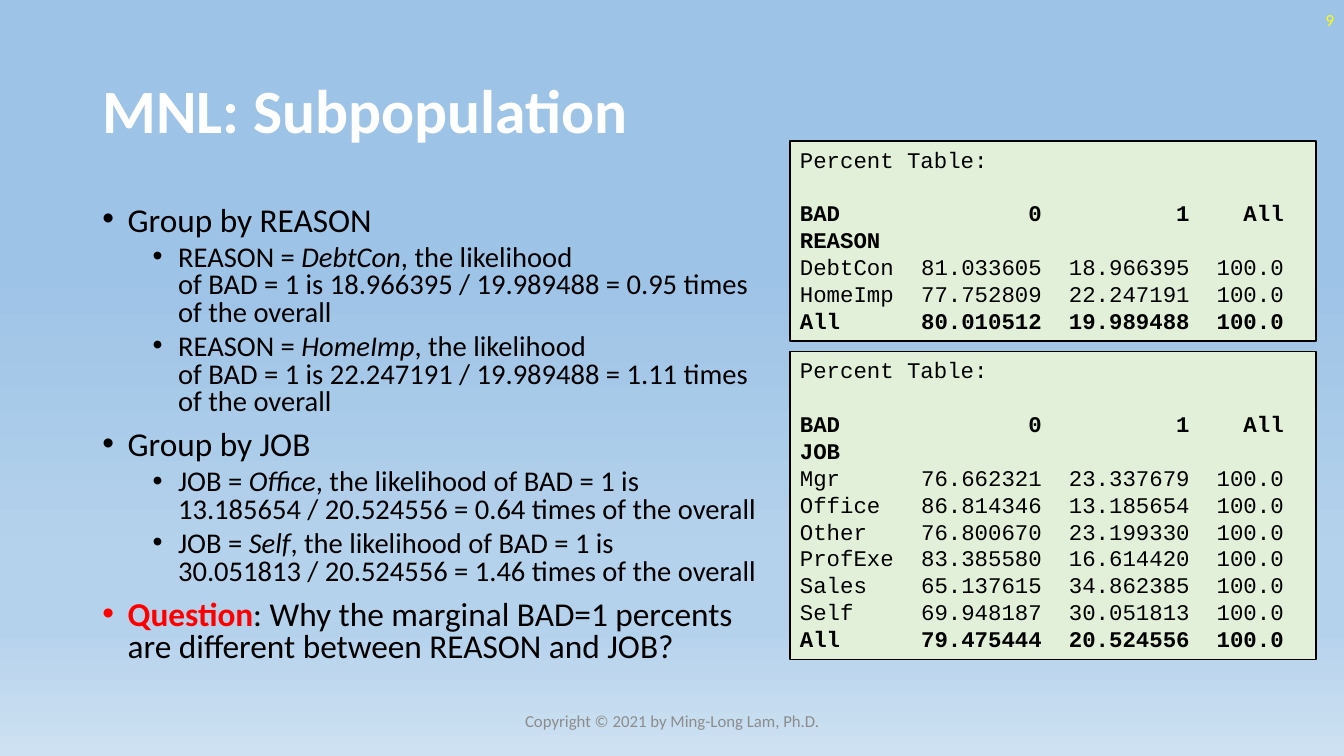
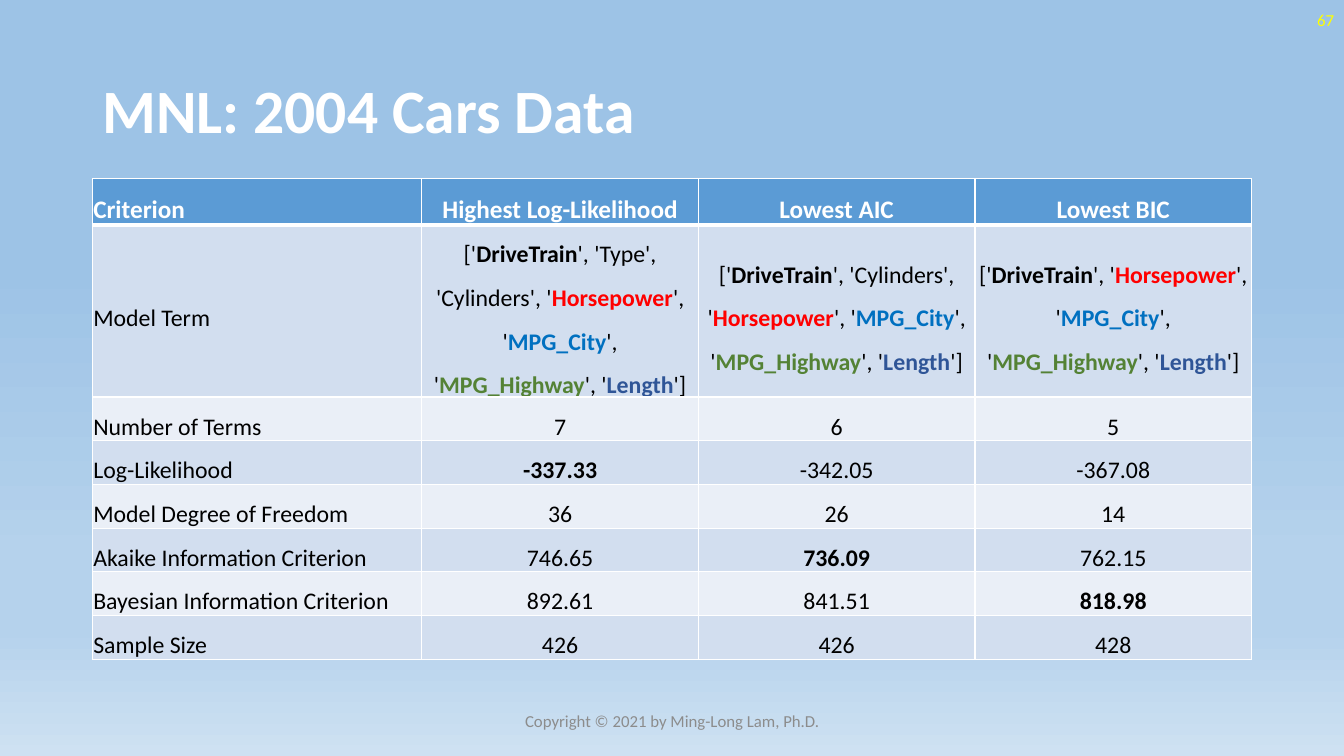
import pptx
import pptx.util
import pptx.dml.color
import pptx.enum.shapes
import pptx.enum.text
import pptx.oxml.ns
from lxml import etree

Cm, Pt = pptx.util.Cm, pptx.util.Pt
RGBColor = pptx.dml.color.RGBColor
ALIGN = pptx.enum.text.PP_ALIGN
ANCHOR = pptx.enum.text.MSO_ANCHOR
qn = pptx.oxml.ns.qn

WHITE = RGBColor(0xFF, 0xFF, 0xFF)
BLACK = RGBColor(0x00, 0x00, 0x00)
YELLOW = RGBColor(0xFF, 0xFF, 0x00)
GRAY = RGBColor(0x8C, 0x8C, 0x8C)
RED = RGBColor(0xFF, 0x00, 0x00)
PALE_GREEN = RGBColor(0xE2, 0xF0, 0xD9)
HEADER_BLUE = RGBColor(0x5B, 0x9B, 0xD5)
BANDS = [RGBColor(0xEA, 0xEF, 0xF7), RGBColor(0xD2, 0xDE, 0xEF)]
BACKGROUND = [(35, "9DC3E6"), (74, "B5D2EC"), (83, "B5D2EC"), (100, "CEE1F2")]

# Words between asterisks are bold, or italic if listed here
ITALIC = {"DebtCon", "HomeImp", "Office", "Self"}
WORD_COLORS = {
    "Question": RED,
    "Horsepower": RED,
    "MPG_City": RGBColor(0x00, 0x70, 0xC0),
    "MPG_Highway": RGBColor(0x54, 0x82, 0x35),
    "Length": RGBColor(0x2F, 0x55, 0x97),
}


def write(p, text, size, color, bold=False, font="Calibri"):
    """Fill a paragraph; *word* is emphasised, a newline is a line break."""
    for i, piece in enumerate(text.split("*")):
        marked = i % 2 == 1
        for j, line in enumerate(piece.split("\n") if piece else []):
            if j:
                p.add_line_break()
            r = p.add_run()
            r.text = line
            r.font.name, r.font.size = font, Pt(size)
            r.font.bold = bold or (marked and piece not in ITALIC)
            r.font.italic = marked and piece in ITALIC
            r.font.color.rgb = WORD_COLORS.get(piece, color) if marked else color


def add_text(s, box, text, size, color, align=ALIGN.LEFT, bold=False):
    tf = s.shapes.add_textbox(*[Cm(v) for v in box]).text_frame
    tf.word_wrap = True
    tf.vertical_anchor = ANCHOR.MIDDLE
    p = tf.paragraphs[0]
    p.alignment = align
    p.line_spacing = 0.9 if bold else 1.0
    write(p, text, size, color, bold)


prs = pptx.Presentation()
prs.slide_width, prs.slide_height = Cm(33.87), Cm(19.05)

# Shared background gradient on the master
fill = prs.slide_master.background.fill
fill.gradient()
fill.gradient_angle = 270
stops = next(prs.slide_master.element.iter(qn("a:gsLst")))
for stop in list(stops):
    stops.remove(stop)
for position, rgb in BACKGROUND:
    stop = etree.SubElement(stops, qn("a:gs"), pos=str(position * 1000))
    etree.SubElement(stop, qn("a:srgbClr"), val=rgb)

# Title, page number and footer of each slide
slides = []
for title, number in [("MNL: Subpopulation", "9"), ("MNL: 2004 Cars Data", "67")]:
    s = prs.slides.add_slide(prs.slide_layouts[6])
    add_text(s, (2.33, 1.02, 29.21, 3.68), title, 44, WHITE, bold=True)
    add_text(s, (26.25, 0, 7.62, 1.01), number, 12, YELLOW, ALIGN.RIGHT)
    add_text(s, (11.23, 17.65, 11.43, 1.01),
             "Copyright © 2021 by Ming-Long Lam, Ph.D.", 12, GRAY, ALIGN.CENTER)
    slides.append(s)

# Slide 1: bullets
s = slides[0]
bullets = [
    (0, "Group by REASON"),
    (1, "REASON = *DebtCon*, the likelihood\n"
        "of BAD = 1 is 18.966395 / 19.989488 = 0.95 times of the overall"),
    (1, "REASON = *HomeImp*, the likelihood\n"
        "of BAD = 1 is 22.247191 / 19.989488 = 1.11 times of the overall"),
    (0, "Group by JOB"),
    (1, "JOB = *Office*, the likelihood of BAD = 1 is\n"
        "13.185654 / 20.524556 = 0.64 times of the overall"),
    (1, "JOB = *Self*, the likelihood of BAD = 1 is\n"
        "30.051813 / 20.524556 = 1.46 times of the overall"),
    (0, "*Question*: Why the marginal BAD=1 percents are different "
        "between REASON and JOB?"),
]
tf = s.shapes.add_textbox(Cm(2.33), Cm(5.08), Cm(17.48), Cm(12.09)).text_frame
tf.word_wrap = True
for i, (level, text) in enumerate(bullets):
    p = tf.add_paragraph() if i else tf.paragraphs[0]
    p.level = level
    p.line_spacing = 0.8
    p.space_before = Pt((10, 5)[level] if i else 0)
    pPr = p._p.get_or_add_pPr()
    pPr.set("marL", str(Cm((0.64, 1.91)[level])))
    pPr.set("indent", str(Cm(-0.64)))
    etree.SubElement(pPr, qn("a:buFont"), typeface="Arial")
    etree.SubElement(pPr, qn("a:buChar"), char="•")
    write(p, text, (23.8, 20.4)[level], BLACK)

# Slide 1: percent tables as console output, columns on right tabs
percent_tables = [
    ("REASON", [
        ("DebtCon", "81.033605", "18.966395"),
        ("HomeImp", "77.752809", "22.247191"),
        ("All", "80.010512", "19.989488"),
    ]),
    ("JOB", [
        ("Mgr", "76.662321", "23.337679"),
        ("Office", "86.814346", "13.185654"),
        ("Other", "76.800670", "23.199330"),
        ("ProfExe", "83.385580", "16.614420"),
        ("Sales", "65.137615", "34.862385"),
        ("Self", "69.948187", "30.051813"),
        ("All", "79.475444", "20.524556"),
    ]),
]
CHAR_WIDTH, LINE_HEIGHT = 9.6, 19.2
top = 3.55
for group, rows in percent_tables:
    lines = ["Percent Table:", "BAD\t0\t1\tAll", group]
    lines += ["\t".join(row + ("100.0",)) for row in rows]
    height = 0.68 * (len(lines) + 1) + 0.28
    sp = s.shapes.add_shape(pptx.enum.shapes.MSO_SHAPE.RECTANGLE,
                            Cm(19.91), Cm(top), Cm(13.26), Cm(height))
    top += height + 0.27
    sp.shadow.inherit = False
    sp.fill.solid()
    sp.fill.fore_color.rgb = PALE_GREEN
    sp.line.color.rgb = BLACK
    sp.line.width = Pt(1)
    tf = sp.text_frame
    tf.word_wrap = True
    tf.vertical_anchor = ANCHOR.TOP
    for i, line in enumerate(lines):
        p = tf.add_paragraph() if i else tf.paragraphs[0]
        p.alignment = ALIGN.LEFT
        p.line_spacing = Pt(LINE_HEIGHT)
        p.space_before = Pt(LINE_HEIGHT if i == 1 else 0)
        tabs = etree.SubElement(p._p.get_or_add_pPr(), qn("a:tabLst"))
        for column_end in (18, 29, 36):
            etree.SubElement(tabs, qn("a:tab"), algn="r",
                             pos=str(Pt(column_end * CHAR_WIDTH)))
        write(p, line, 16, BLACK, i in (1, 2, len(lines) - 1), "Courier New")

# Slide 2: model comparison table
s = slides[1]
shared_terms = "'*MPG_City*', '*MPG_Highway*', '*Length*']"
comparison = [
    ("Criterion", "Highest Log-Likelihood", "Lowest AIC", "Lowest BIC"),
    ("Model Term",
     "['*DriveTrain*', 'Type', 'Cylinders', '*Horsepower*', " + shared_terms,
     "['*DriveTrain*', 'Cylinders', '*Horsepower*', " + shared_terms,
     "['*DriveTrain*', '*Horsepower*', " + shared_terms),
    ("Number of Terms", "7", "6", "5"),
    ("Log-Likelihood", "*-337.33*", "-342.05", "-367.08"),
    ("Model Degree of Freedom", "36", "26", "14"),
    ("Akaike Information Criterion", "746.65", "*736.09*", "762.15"),
    ("Bayesian Information Criterion", "892.61", "841.51", "*818.98*"),
    ("Sample Size", "426", "426", "428"),
]
ROW_HEIGHT = 1.04
table = s.shapes.add_table(len(comparison), 4, Cm(2.33), Cm(4.5), Cm(29.21),
                           Cm(ROW_HEIGHT * len(comparison))).table
for column, width in zip(table.columns, (8.3, 6.97, 6.97, 6.97)):
    column.width = Cm(width)
for i, row in enumerate(comparison):
    header = i == 0
    for j, text in enumerate(row):
        cell = table.cell(i, j)
        cell.vertical_anchor = ANCHOR.MIDDLE
        cell.margin_left = cell.margin_right = cell.margin_top = Cm(0.02)
        cell.margin_bottom = 0
        tcPr = cell._tc.get_or_add_tcPr()
        for side in "LRTB":
            thick = (i, side) in ((0, "B"), (1, "T"))
            ln = etree.SubElement(tcPr, qn("a:ln" + side),
                                  w=str(Pt(3 if thick else 1)))
            etree.SubElement(etree.SubElement(ln, qn("a:solidFill")),
                             qn("a:srgbClr"), val=str(WHITE))
        cell.fill.solid()
        cell.fill.fore_color.rgb = HEADER_BLUE if header else BANDS[i % 2]
        p = cell.text_frame.paragraphs[0]
        p.alignment = ALIGN.CENTER if j else ALIGN.LEFT
        p.line_spacing = 1.5
        write(p, text, 18 if header else 17, WHITE if header else BLACK, header)

prs.save("out.pptx")
